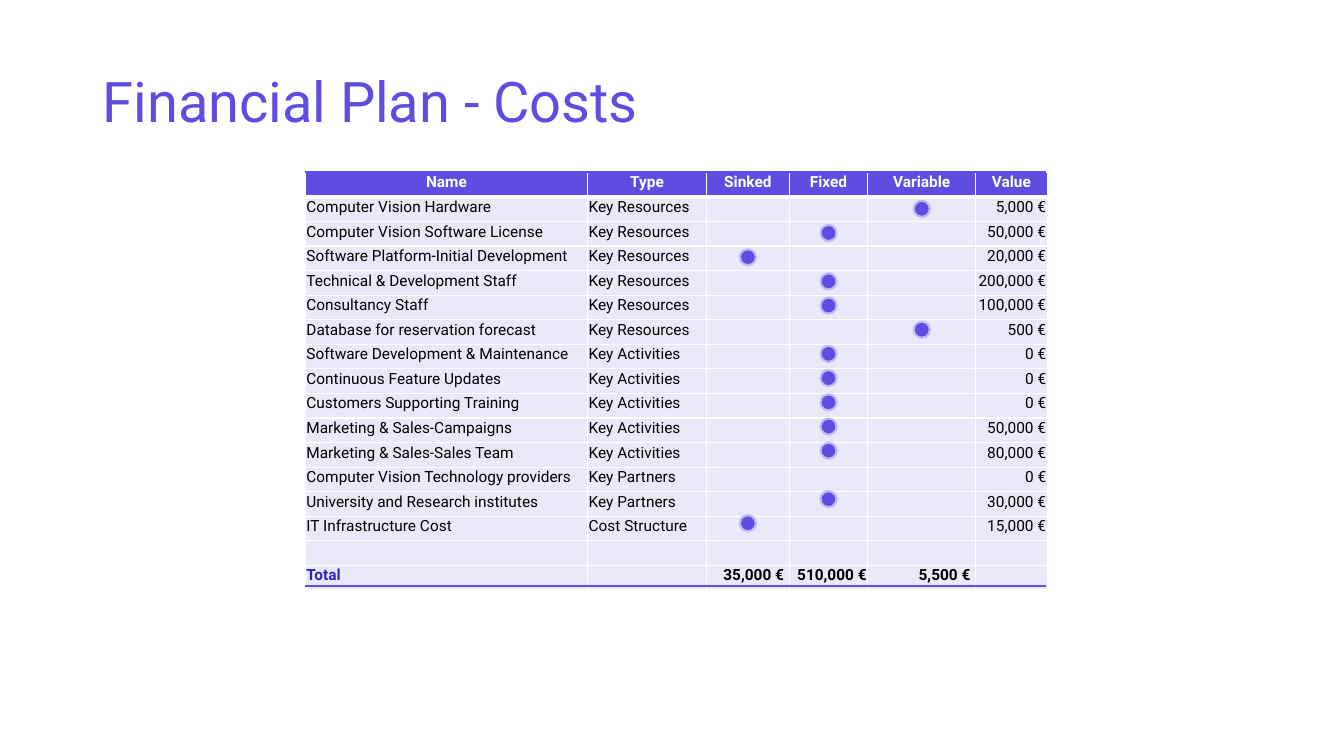
import pptx
import pptx.util
import pptx.dml.color
import pptx.enum.shapes
import pptx.enum.text
from lxml import etree

Pt = pptx.util.Pt
ALIGN = pptx.enum.text.PP_ALIGN
MIDDLE = pptx.enum.text.MSO_ANCHOR.MIDDLE
A = "http://schemas.openxmlformats.org/drawingml/2006/main"

COLORS = {"violet": "5F4DE1", "halo": "BFB8F3", "cell": "EAE9F9",
          "total": "3421C2", "white": "FFFFFF", "black": "000000"}
LEFT, TOP, ROW_H, DOT = 218.16, 123.12, 17.28, 11.5
LINE_END = 747.36
COL_W = [201.6, 84.96, 59.04, 56.16, 77.04, 51.12]
HEADER = ["Name", "Type", "Sinked", "Fixed", "Variable", "Value"]
TOTAL = ["Total", "", "35,000 €", "510,000 €", "5,500 €", ""]
COSTS = [
    ("Computer Vision Hardware", "Key Resources", "Variable", "5,000 €"),
    ("Computer Vision Software License", "Key Resources", "Fixed", "50,000 €"),
    ("Software Platform-Initial Development", "Key Resources", "Sinked", "20,000 €"),
    ("Technical & Development Staff", "Key Resources", "Fixed", "200,000 €"),
    ("Consultancy Staff", "Key Resources", "Fixed", "100,000 €"),
    ("Database for reservation forecast", "Key Resources", "Variable", "500 €"),
    ("Software Development & Maintenance", "Key Activities", "Fixed", "0 €"),
    ("Continuous Feature Updates", "Key Activities", "Fixed", "0 €"),
    ("Customers Supporting Training", "Key Activities", "Fixed", "0 €"),
    ("Marketing & Sales-Campaigns", "Key Activities", "Fixed", "50,000 €"),
    ("Marketing & Sales-Sales Team", "Key Activities", "Fixed", "80,000 €"),
    ("Computer Vision Technology providers", "Key Partners", None, "0 €"),
    ("University and Research institutes", "Key Partners", "Fixed", "30,000 €"),
    ("IT Infrastructure Cost", "Cost Structure", "Sinked", "15,000 €"),
]


def rgb(name):
    return pptx.dml.color.RGBColor.from_string(COLORS[name])


def add_run(p, text, size, color, bold=False):
    r = p.add_run()
    r.text = text
    r.font.name = "Roboto"
    r.font.size = Pt(size)
    r.font.bold = bold
    r.font.color.rgb = rgb(color)


prs = pptx.Presentation()
prs.slide_width, prs.slide_height = Pt(960), Pt(540)
s = prs.slides.add_slide(prs.slide_layouts[6])

# Title
title = s.shapes.add_textbox(Pt(66.24), Pt(43.92), Pt(835.92), Pt(55.44))
tf = title.text_frame
tf.word_wrap = True
tf.vertical_anchor = MIDDLE
add_run(tf.paragraphs[0], "Financial Plan - Costs", 40, "violet")

# Cost table
rows = [HEADER]
rows += [[name, kind, "", "", "", value] for name, kind, _, value in COSTS]
rows += [[""] * len(HEADER), TOTAL]
last = len(rows) - 1
table = s.shapes.add_table(len(rows), len(HEADER), Pt(LEFT), Pt(TOP),
                           Pt(sum(COL_W)), Pt(ROW_H * len(rows))).table
table.horz_banding = False
for col, width in zip(table.columns, COL_W):
    col.width = Pt(width)

for i, texts in enumerate(rows):
    table.rows[i].height = Pt(ROW_H)
    for j, text in enumerate(texts):
        cell = table.cell(i, j)
        cell.vertical_anchor = MIDDLE
        cell.margin_left = cell.margin_top = cell.margin_right = Pt(0.72)
        cell.margin_bottom = Pt(3.6)
        if i == last and HEADER[j] in ("Sinked", "Variable"):
            cell.margin_right = Pt(3.6)

        tc_pr = cell._tc.get_or_add_tcPr()
        for side in ("lnL", "lnR", "lnT", "lnB"):
            thick = (i, side) in ((0, "lnB"), (1, "lnT"))
            ln = etree.SubElement(tc_pr, f"{{{A}}}{side}", w=str(Pt(3 if thick else 1)))
            fill = etree.SubElement(ln, f"{{{A}}}solidFill")
            etree.SubElement(fill, f"{{{A}}}srgbClr", val=COLORS["white"])
        cell.fill.solid()
        cell.fill.fore_color.rgb = rgb("violet" if i == 0 else "cell")

        p = cell.text_frame.paragraphs[0]
        if i == 0:
            p.alignment, color = ALIGN.CENTER, "white"
        else:
            p.alignment = ALIGN.LEFT if j < 2 else ALIGN.RIGHT
            color = "total" if i == last and j == 0 else "black"
        if text:
            add_run(p, text, 11, color, bold=i in (0, last))
        else:
            # An empty cell keeps the text size, so its row does not grow
            end = etree.SubElement(p._p, f"{{{A}}}endParaRPr", sz="1100")
            etree.SubElement(end, f"{{{A}}}latin", typeface="Roboto")

# Rules below and above the table
for y in (418.32, TOP):
    rule = s.shapes.add_connector(pptx.enum.shapes.MSO_CONNECTOR.STRAIGHT,
                                  Pt(LEFT), Pt(y), Pt(LINE_END), Pt(y))
    rule.line.color.rgb = rgb("violet")
    rule.line.width = Pt(1.5)
    etree.SubElement(rule._element.spPr, f"{{{A}}}effectLst")

# Dots marking the kind of each cost
for i, (_, _, kind, _) in enumerate(COSTS):
    if kind is None:
        continue
    j = HEADER.index(kind)
    x = LEFT + sum(COL_W[:j]) + (COL_W[j] - DOT) / 2
    dot = s.shapes.add_shape(pptx.enum.shapes.MSO_SHAPE.OVAL, Pt(x),
                             Pt(143.4 + i * ROW_H), Pt(DOT), Pt(DOT))
    dot.shadow.inherit = False
    dot.fill.solid()
    dot.fill.fore_color.rgb = rgb("violet")
    dot.line.color.rgb = rgb("halo")
    dot.line.width = Pt(1.5)

prs.save("out.pptx")
